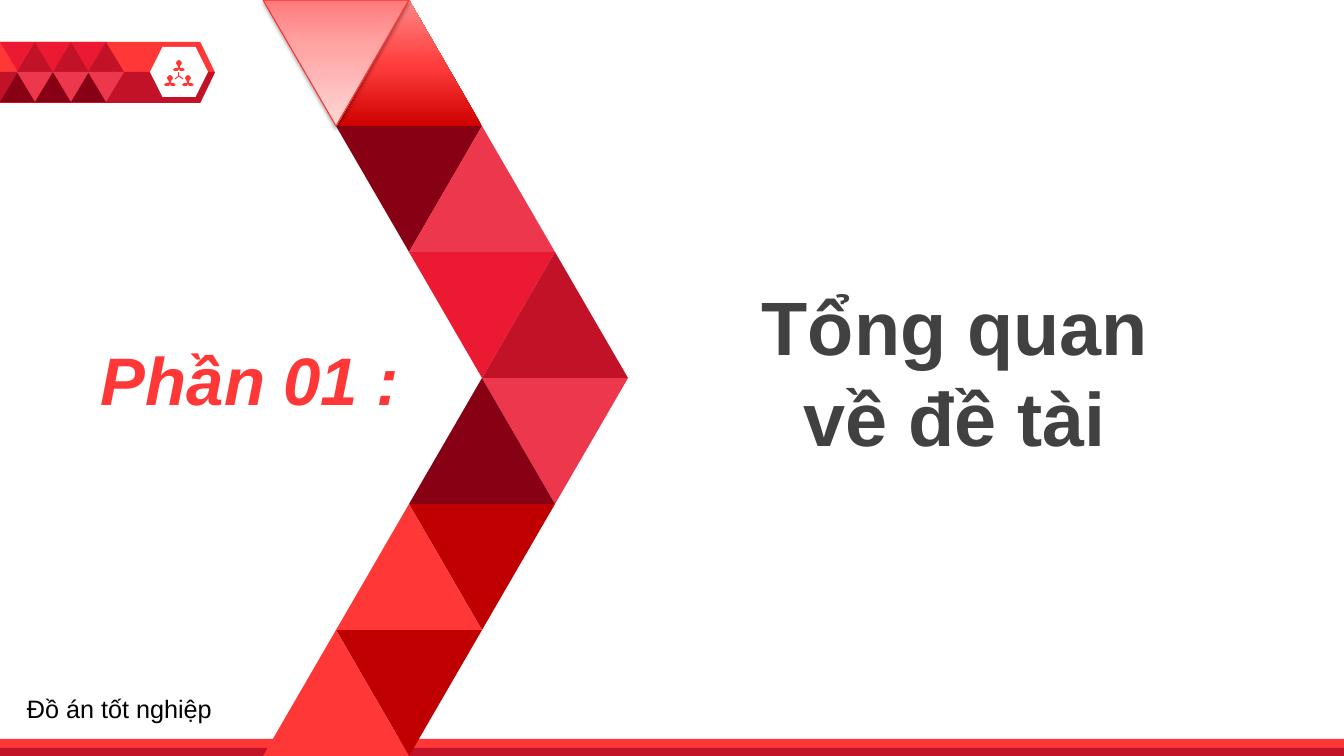
from copy import deepcopy

from lxml.etree import SubElement
from pptx import Presentation
from pptx.dml.color import RGBColor
from pptx.enum.shapes import MSO_CONNECTOR, MSO_SHAPE as Preset
from pptx.enum.text import MSO_AUTO_SIZE as AutoSize, PP_ALIGN as Align
from pptx.oxml.ns import qn
from pptx.util import Pt

EMU_PER_PX = 914400 / 100.8
WIDTH, HEIGHT = 1344, 756
FONT = "Arial"
RED, CRIMSON, SCARLET = "FF3737", "C21227", "EB1932"
ROSE, MAROON, DARK_RED = "ED374D", "880014", "C00000"
SHINE = [(0, "CF0000"), (0.48, "FF3C3C"), (1, "FF8787")]
PALE = [(0, "FF7A7B"), (0.35, "FFA3A3"), (1, "FFD6D6")]
CHEVRON = [
    (1, 0, True, SHINE), (1, 1, False, MAROON), (0, 0, False, PALE),
    (2, 1, True, ROSE), (2, 2, False, SCARLET), (3, 2, True, CRIMSON),
    (3, 3, False, ROSE), (2, 3, True, MAROON), (2, 4, False, DARK_RED),
    (1, 4, True, RED), (1, 5, False, DARK_RED), (0, 5, True, RED),
]
PERSON_HALF = [(0, 0), (2, 1), (3, 3), (2, 5), (1, 6), (1, 8), (4, 8),
               (6, 10), (4, 11), (1, 11), (0, 9)]


def px(length):
    """Turn pixels into EMU."""
    return round(length * EMU_PER_PX)


def color(value):
    """Turn a hex string into a colour."""
    return RGBColor.from_string(value)


def paint(shape, fill):
    """Fill a shape with a hex colour or a list of gradient stops, without line or shadow."""
    if isinstance(fill, str):
        shape.fill.solid()
        shape.fill.fore_color.rgb = color(fill)
    else:
        shape.fill.gradient()
        shape.fill.gradient_angle = 90
        stop_list = shape._element.spPr.find(".//" + qn("a:gsLst"))
        while len(stop_list) < len(fill):
            stop_list.append(deepcopy(stop_list[0]))
        for stop, (position, value) in zip(shape.fill.gradient_stops, fill):
            stop.position = position
            stop.color.rgb = color(value)
    shape.line.fill.background()
    shape.shadow.inherit = False
    return shape


def add_preset(slide, preset, box, fill):
    """Add a painted preset shape in the box."""
    return paint(slide.shapes.add_shape(preset, *map(px, box)), fill)


def add_polygon(slide, points, fill):
    """Add a painted closed outline."""
    builder = slide.shapes.build_freeform(*points[0], scale=EMU_PER_PX)
    builder.add_line_segments(points[1:], close=True)
    return paint(builder.convert_to_shape(), fill)


def add_triangle(slide, box, upward, fill):
    """Add a triangle that points up or down."""
    triangle = add_preset(slide, Preset.ISOSCELES_TRIANGLE, box, fill)
    triangle.rotation = 0 if upward else 180
    return triangle


def add_outline_and_shadow(shape):
    """Give a shape a thin red line and a soft shadow below it."""
    shape.line.color.rgb = color("FD3030")
    shape.line.width = Pt(0.75)
    effects = shape._element.spPr.find(qn("a:effectLst"))
    shadow = SubElement(effects, qn("a:outerShdw"), blurRad=str(Pt(3.1)), dist=str(Pt(1.6)),
                        dir="5400000", rotWithShape="0")
    black = SubElement(shadow, qn("a:srgbClr"), val="000000")
    SubElement(black, qn("a:alpha"), val="37000")


def add_team_icon(slide, box):
    """Draw three people joined by a three-armed link."""
    left, top, width, height = box
    center, hub = left + width // 2, top + 16
    for person_x, person_y in ((center, top), (center - 9, top + 15), (center + 9, top + 15)):
        offsets = PERSON_HALF + [(-x, y) for x, y in PERSON_HALF[-2:0:-1]]
        add_polygon(slide, [(person_x + x, person_y + y) for x, y in offsets], RED)
    for end_x, end_y in ((center, hub - 4), (center - 4, hub + 3), (center + 4, hub + 3)):
        arm = slide.shapes.add_connector(
            MSO_CONNECTOR.STRAIGHT, px(center), px(hub), px(end_x), px(end_y))
        arm.line.color.rgb = color(RED)
        arm.line.width = Pt(0.75)
        SubElement(arm._element.spPr, qn("a:effectLst"))


def add_badge(slide, box):
    """Draw the tiled arrow badge with its hexagon icon."""
    left, top, width, height = box
    middle, bottom, right = top + height // 2, top + height, left + width
    plate = add_preset(slide, Preset.PENTAGON, box, RED)
    plate.adjustments[0] = 0.24
    add_polygon(slide, [(left, middle), (right, middle), (right - 15, bottom), (left, bottom)],
                CRIMSON)
    hexagon = add_preset(slide, Preset.HEXAGON, (right - 65, top + 5, 58, 50), "FFFFFF")
    hexagon.adjustments[0] = 0.25
    add_team_icon(slide, (right - 50, top + 18, 28, 26))
    for column in range(6):
        for row in range(2):
            upward = (column + row) % 2 == 1
            fill = ((SCARLET, CRIMSON), (ROSE, MAROON))[row][upward]
            tile = (left + 71 * column // 4, top + 30 * row, 36, 30)
            add_triangle(slide, tile, upward, fill)


def add_footer_bar(slide, box):
    """Draw the two-tone bar at the foot."""
    left, top, width, height = box
    add_preset(slide, Preset.RECTANGLE, box, RED)
    add_preset(slide, Preset.RECTANGLE, (left, top + height - 8, width, 8), CRIMSON)


def add_chevron(slide, box):
    """Draw the large chevron of triangles on a half-width grid."""
    left, top, width, height = box
    half, row_height = width // 5, height // 6
    for column, row, upward, fill in CHEVRON:
        tile = (left + column * half, top + row * row_height, 2 * half, row_height)
        triangle = add_triangle(slide, tile, upward, fill)
        if fill is PALE:
            add_outline_and_shadow(triangle)


def add_text(slide, box, text, size, fill, bold=False, italic=False,
             align=Align.LEFT, auto_size=AutoSize.NONE):
    """Add a wrapped text box with one run."""
    frame = slide.shapes.add_textbox(*map(px, box)).text_frame
    frame.word_wrap = True
    frame.auto_size = auto_size
    paragraph = frame.paragraphs[0]
    paragraph.alignment = align
    run = paragraph.add_run()
    run.text = text
    run.font.name = FONT
    run.font.size = Pt(size)
    run.font.bold = bold
    run.font.italic = italic
    run.font.color.rgb = color(fill)


def add_section_slide(presentation):
    """Build the section opening slide."""
    slide = presentation.slides.add_slide(presentation.slide_layouts[6])
    add_badge(slide, (0, 42, 215, 61))
    add_footer_bar(slide, (0, 739, WIDTH, 17))
    add_chevron(slide, (263, 0, 365, HEIGHT))
    add_text(slide, (91, 333, 415, 91), "Phần 01 :", 48, RED, bold=True, italic=True,
             auto_size=AutoSize.SHAPE_TO_FIT_TEXT)
    add_text(slide, (728, 275, 454, 194), "Tổng quan về đề tài", 54, "414141", bold=True,
             align=Align.CENTER, auto_size=AutoSize.SHAPE_TO_FIT_TEXT)
    add_text(slide, (17, 688, 285, 40), "Đồ án tốt nghiệp", 18, "000000")


def main():
    """Create and save the presentation."""
    presentation = Presentation()
    presentation.slide_width = px(WIDTH)
    presentation.slide_height = px(HEIGHT)
    add_section_slide(presentation)
    presentation.save("out.pptx")


if __name__ == "__main__":
    main()
